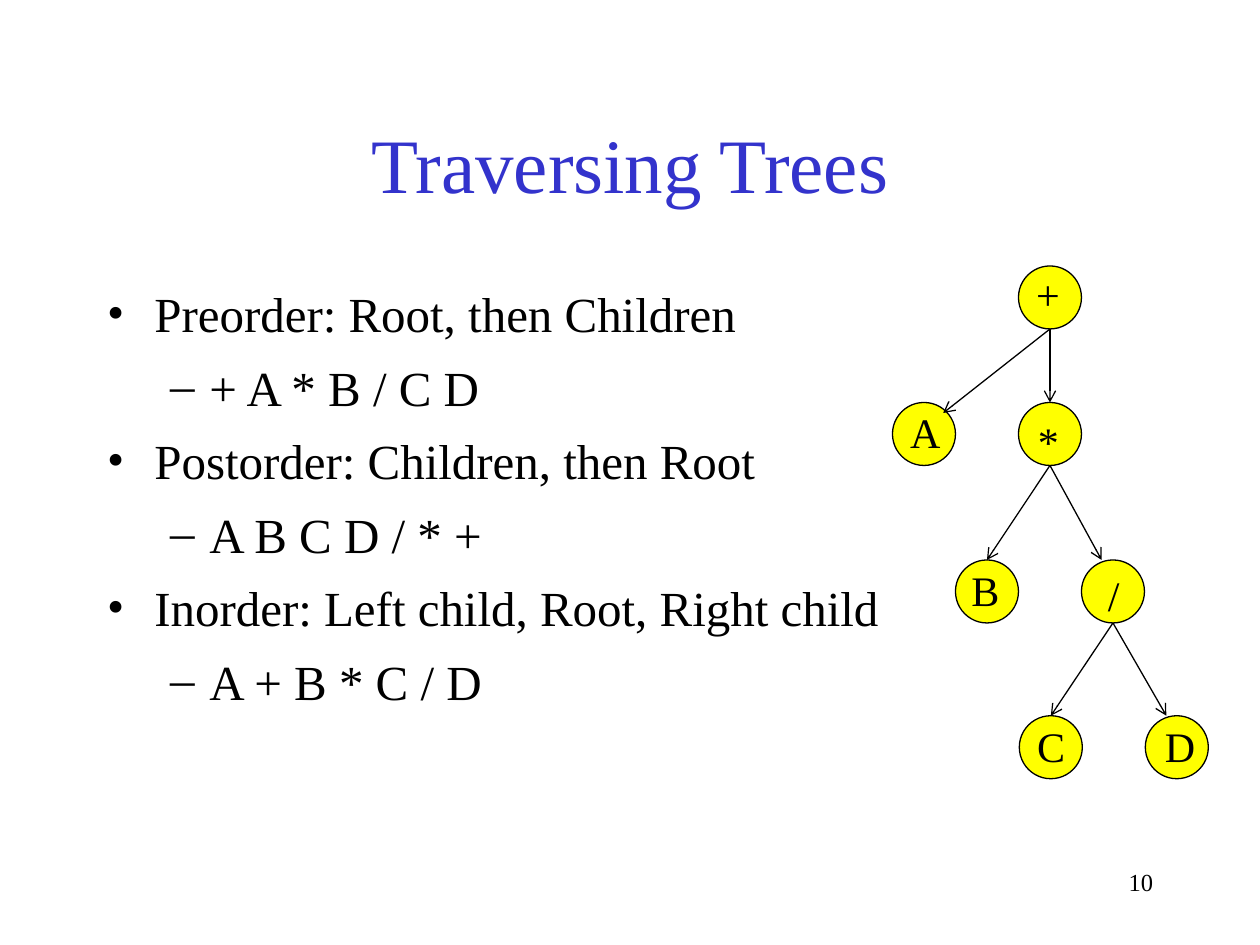
from dataclasses import dataclass

from lxml.etree import SubElement
from pptx import Presentation
from pptx.dml.color import RGBColor
from pptx.enum.shapes import MSO_CONNECTOR as CONNECTOR, MSO_SHAPE as SHAPE
from pptx.enum.text import MSO_ANCHOR as ANCHOR, MSO_AUTO_SIZE as AUTOSIZE, PP_ALIGN as ALIGN
from pptx.oxml.ns import qn
from pptx.util import Pt


@dataclass(frozen=True)
class Theme:
    """Fonts, colours, type sizes and line width of the slide."""
    font: str = "Times New Roman"
    ink: RGBColor = RGBColor(0, 0, 0)
    heading: RGBColor = RGBColor(0x33, 0x33, 0xCC)
    node: RGBColor = RGBColor(0xFF, 0xFF, 0)
    title_size: float = 44
    body_size: float = 28
    label_size: float = 24
    number_size: float = 14
    line: float = 0.75


THEME = Theme()
NODE = 36
LEVELS = [("•", 27, -27), ("–", 58.5, -22.5)]
TRAVERSALS = [
    ("Preorder: Root, then Children", "+ A * B / C D"),
    ("Postorder: Children, then Root", "A B C D / * +"),
    ("Inorder: Left child, Root, Right child", "A + B * C / D"),
]
NODES = {
    "+": (582, 152), "A": (510, 230), "*": (582, 230), "B": (546, 320),
    "/": (618, 320), "C": (582.5, 409), "D": (654.5, 409),
}
LABEL_OFFSETS = {
    "+": (3, -2), "A": (3, -1), "*": (4, 4), "B": (2, -1),
    "/": (8, 2), "C": (3, -1), "D": (4, -1),
}
EDGES = [
    ("+", "A", 29, 6), ("+", "*", 18, 0), ("*", "B", 18, 0),
    ("*", "/", 11.5, 0), ("/", "C", 18, 0), ("/", "D", 12, 0),
]


def place(shape, left, top, width, height):
    """Move and size a shape in points."""
    shape.left, shape.top = Pt(left), Pt(top)
    shape.width, shape.height = Pt(width), Pt(height)


def write(paragraph, words, size, color=THEME.ink, align=ALIGN.LEFT):
    """Add one formatted run to a paragraph."""
    paragraph.alignment = align
    run = paragraph.add_run()
    run.text = words
    run.font.name, run.font.size = THEME.font, Pt(size)
    run.font.color.rgb = color


def set_bullet(paragraph, level):
    """Give a paragraph the bullet and indent of its level."""
    mark, margin, indent = LEVELS[level]
    paragraph.level = level
    properties = paragraph._p.get_or_add_pPr()
    properties.set("marL", str(Pt(margin)))
    properties.set("indent", str(Pt(indent)))
    SubElement(properties, qn("a:buFont"), typeface=THEME.font)
    SubElement(properties, qn("a:buChar"), char=mark)


def add_title(slide, words):
    """Fill the title placeholder."""
    title = slide.shapes.title
    place(title, 54, 48, 612, 90)
    title.text_frame.vertical_anchor = ANCHOR.MIDDLE
    write(title.text_frame.paragraphs[0], words, THEME.title_size, THEME.heading, ALIGN.CENTER)


def add_traversals(slide):
    """Fill the body placeholder with each order and its result."""
    body = slide.placeholders[1]
    place(body, 54, 156, 612, 324)
    frame = body.text_frame
    frame.auto_size = AUTOSIZE.NONE
    frame.margin_top = Pt(6)
    lines = [(level, words) for pair in TRAVERSALS for level, words in enumerate(pair)]
    for index, (level, words) in enumerate(lines):
        paragraph = frame.add_paragraph() if index else frame.paragraphs[0]
        set_bullet(paragraph, level)
        paragraph.space_before = Pt(8.4 if index else 0)
        write(paragraph, words, THEME.body_size)


def add_node(slide, left, top):
    """Draw one round tree node."""
    node = slide.shapes.add_shape(SHAPE.OVAL, Pt(left), Pt(top), Pt(NODE), Pt(NODE))
    node.shadow.inherit = False
    node.fill.solid()
    node.fill.fore_color.rgb = THEME.node
    node.line.color.rgb = THEME.ink
    node.line.width = Pt(THEME.line)


def add_edge(slide, parent, child, dx, dy):
    """Draw an arrow from the foot of the parent to a point on the child."""
    (start_x, start_y), (end_x, end_y) = NODES[parent], NODES[child]
    edge = slide.shapes.add_connector(
        CONNECTOR.STRAIGHT, Pt(start_x + NODE / 2), Pt(start_y + NODE),
        Pt(end_x + dx), Pt(end_y + dy))
    edge.line.color.rgb = THEME.ink
    edge.line.width = Pt(THEME.line)
    SubElement(edge.line._get_or_add_ln(), qn("a:tailEnd"), type="arrow")
    SubElement(edge._element.spPr, qn("a:effectLst"))


def add_text(slide, words, box, size, align=ALIGN.LEFT):
    """Add a one-line text box."""
    frame = slide.shapes.add_textbox(*map(Pt, box)).text_frame
    frame.word_wrap = True
    write(frame.paragraphs[0], words, size, align=align)


def add_tree(slide):
    """Draw the expression tree."""
    for left, top in NODES.values():
        add_node(slide, left, top)
    for edge in EDGES:
        add_edge(slide, *edge)
    for name, (left, top) in NODES.items():
        dx, dy = LABEL_OFFSETS[name]
        add_text(slide, name, (left + dx, top + dy, 32, NODE), THEME.label_size)


def main():
    """Build and save the slide."""
    deck = Presentation()
    deck.slide_width, deck.slide_height = Pt(720), Pt(540)
    slide = deck.slides.add_slide(deck.slide_layouts[1])
    add_title(slide, "Traversing Trees")
    add_traversals(slide)
    add_tree(slide)
    add_text(slide, "10", (516, 492, 150, 36), THEME.number_size, ALIGN.RIGHT)
    deck.save("out.pptx")


if __name__ == "__main__":
    main()
